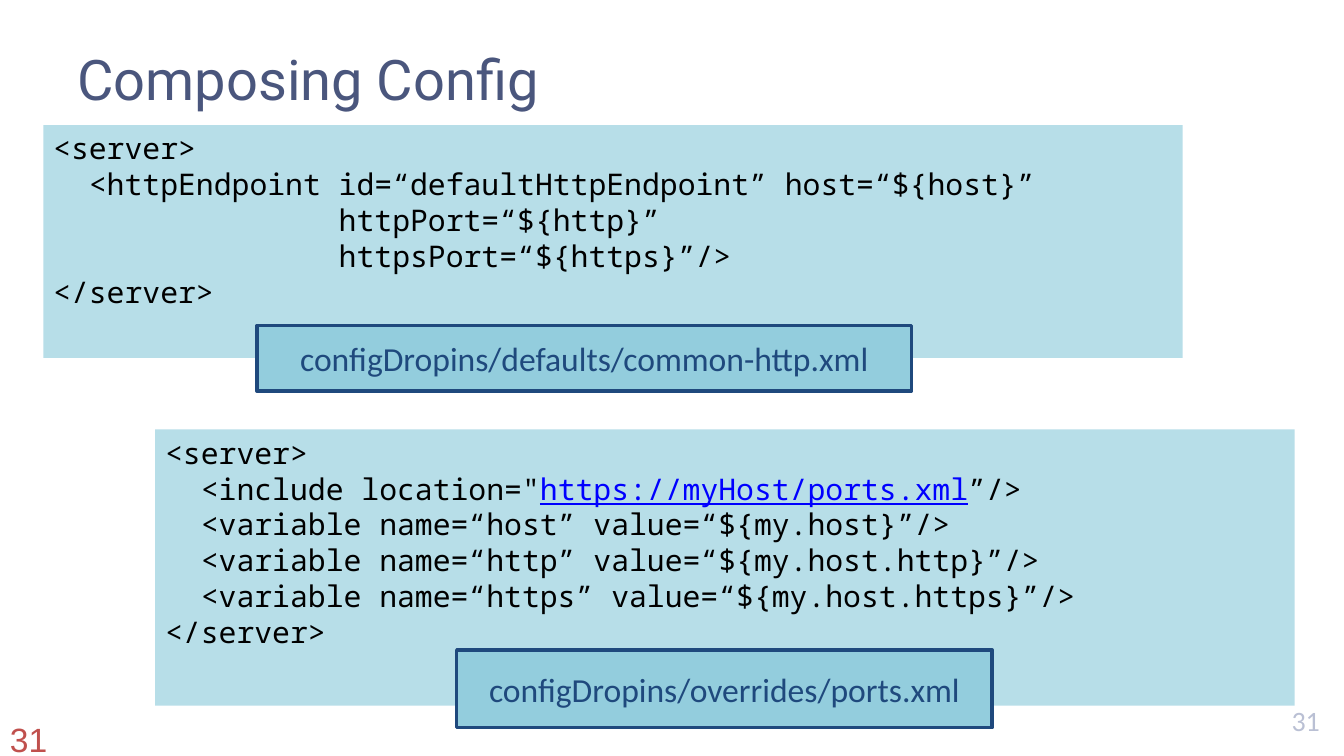
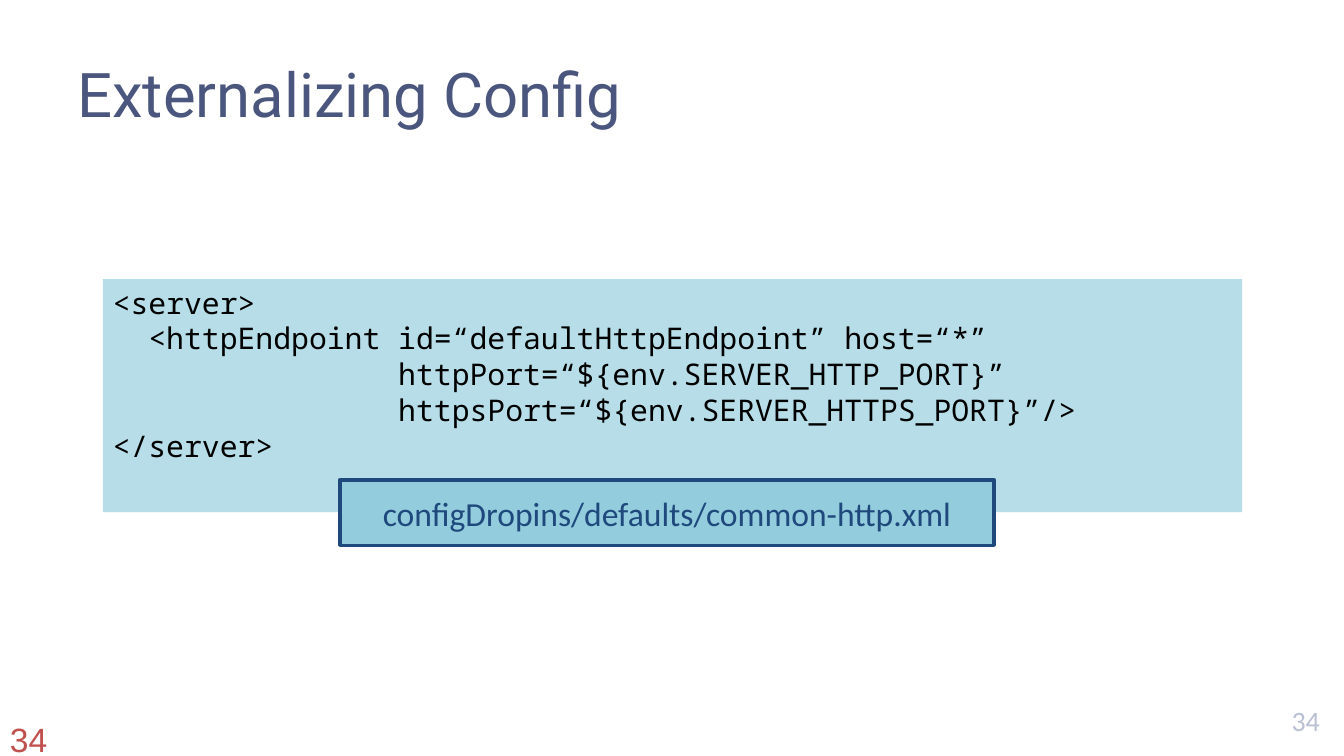
from pptx import Presentation
from pptx.dml.color import RGBColor
from pptx.enum.shapes import MSO_SHAPE as Shape
from pptx.enum.text import MSO_ANCHOR as Anchor, PP_ALIGN as Align
from pptx.util import Inches, Pt

COLORS = {
    "title": "4A567D", "number": "BAC0D4", "accent": "C0504D",
    "panel": "B7DEE8", "label": "93CDDD", "navy": "1F497D",
    "code": "000000", "link": "0000FF",
}
URL = "https://myHost/ports.xml"
PANEL_W = 11.3

COMMON = "configDropins/defaults/common-http.xml"
SLIDES = [
    {
        "title": "Composing Config", "size": 40, "height": 0.94, "number": "31",
        "blocks": [
            {
                "panel": (0.43, 1.24, PANEL_W, 2.31),
                "code": [
                    "<server>",
                    "  <httpEndpoint id=“defaultHttpEndpoint” host=“${host}”",
                    "                httpPort=“${http}”",
                    "                httpsPort=“${https}”/>",
                    "</server>",
                ],
                "label": (2.55, 3.23, 6.49, 0.65), "file": COMMON,
            },
            {
                "panel": (1.54, 4.26, PANEL_W, 2.74),
                "code": [
                    "<server>",
                    f"  <include location=\"{URL}”/>",
                    "  <variable name=“host” value=“${my.host}”/>",
                    "  <variable name=“http” value=“${my.host.http}”/>",
                    "  <variable name=“https” value=“${my.host.https}”/>",
                    "</server>",
                ],
                "label": (4.53, 6.45, 5.31, 0.77),
                "file": "configDropins/overrides/ports.xml",
            },
        ],
    },
    {
        "title": "Externalizing Config", "size": 44, "height": 1.25, "number": "34",
        "blocks": [
            {
                "panel": (1.02, 2.77, PANEL_W, 2.31),
                "code": [
                    "<server>",
                    "  <httpEndpoint id=“defaultHttpEndpoint” host=“*”",
                    "                httpPort=“${env.SERVER_HTTP_PORT}”",
                    "                httpsPort=“${env.SERVER_HTTPS_PORT}”/>",
                    "</server>",
                ],
                "label": (3.37, 4.76, 6.49, 0.65), "file": COMMON,
            },
        ],
    },
]


def color(name):
    return RGBColor.from_string(COLORS[name])


def add_run(para, text, font, size, tint):
    run = para.add_run()
    run.text = text
    run.font.name = font
    run.font.size = Pt(size)
    run.font.color.rgb = color(tint)
    return run


def add_text(slide, box, text, font, size, tint, align=Align.LEFT, anchor=Anchor.TOP):
    frame = slide.shapes.add_textbox(*map(Inches, box)).text_frame
    frame.word_wrap = True
    frame.vertical_anchor = anchor
    para = frame.paragraphs[0]
    para.alignment = align
    add_run(para, text, font, size, tint)


def add_rect(group, box, fill, anchor):
    rect = group.shapes.add_shape(Shape.RECTANGLE, *map(Inches, box))
    rect.shadow.inherit = False
    rect.fill.solid()
    rect.fill.fore_color.rgb = color(fill)
    rect.line.fill.background()
    rect.text_frame.word_wrap = True
    rect.text_frame.vertical_anchor = anchor
    return rect


def add_code(frame, lines):
    for i, line in enumerate(lines):
        para = frame.add_paragraph() if i else frame.paragraphs[0]
        para.alignment = Align.LEFT
        para.line_spacing = Pt(25.6)
        before, url, after = line.partition(URL)
        for text in filter(None, (before, url, after)):
            tint = "link" if text == URL else "code"
            run = add_run(para, text, "Noto Sans Mono", 21.3, tint)
            run.font.underline = text == URL


def add_block(slide, block):
    """Draw a code panel with its file name label, as one group."""
    group = slide.shapes.add_group_shape()
    panel = add_rect(group, block["panel"], "panel", Anchor.TOP)
    add_code(panel.text_frame, block["code"])
    label = add_rect(group, block["label"], "label", Anchor.MIDDLE)
    label.line.color.rgb = color("navy")
    label.line.width = Pt(2.5)
    para = label.text_frame.paragraphs[0]
    para.alignment = Align.CENTER
    add_run(para, block["file"], "Calibri", 24, "navy")


def add_slide(deck, data):
    slide = deck.slides.add_slide(deck.slide_layouts[6])
    add_text(slide, (11.74, 6.93, 1.45, 0.44), data["number"],
             "Calibri", 20, "number", align=Align.RIGHT)
    add_text(slide, (0.67, 0.3, 12, data["height"]), data["title"],
             "Roboto", data["size"], "title", anchor=Anchor.MIDDLE)
    add_text(slide, (0, 7.08, 0.64, 0.27), data["number"], "Arial", 24, "accent")
    for block in data["blocks"]:
        add_block(slide, block)


def main():
    deck = Presentation()
    deck.slide_width, deck.slide_height = Inches(13.33), Inches(7.5)
    for data in SLIDES:
        add_slide(deck, data)
    deck.save("out.pptx")


if __name__ == "__main__":
    main()
